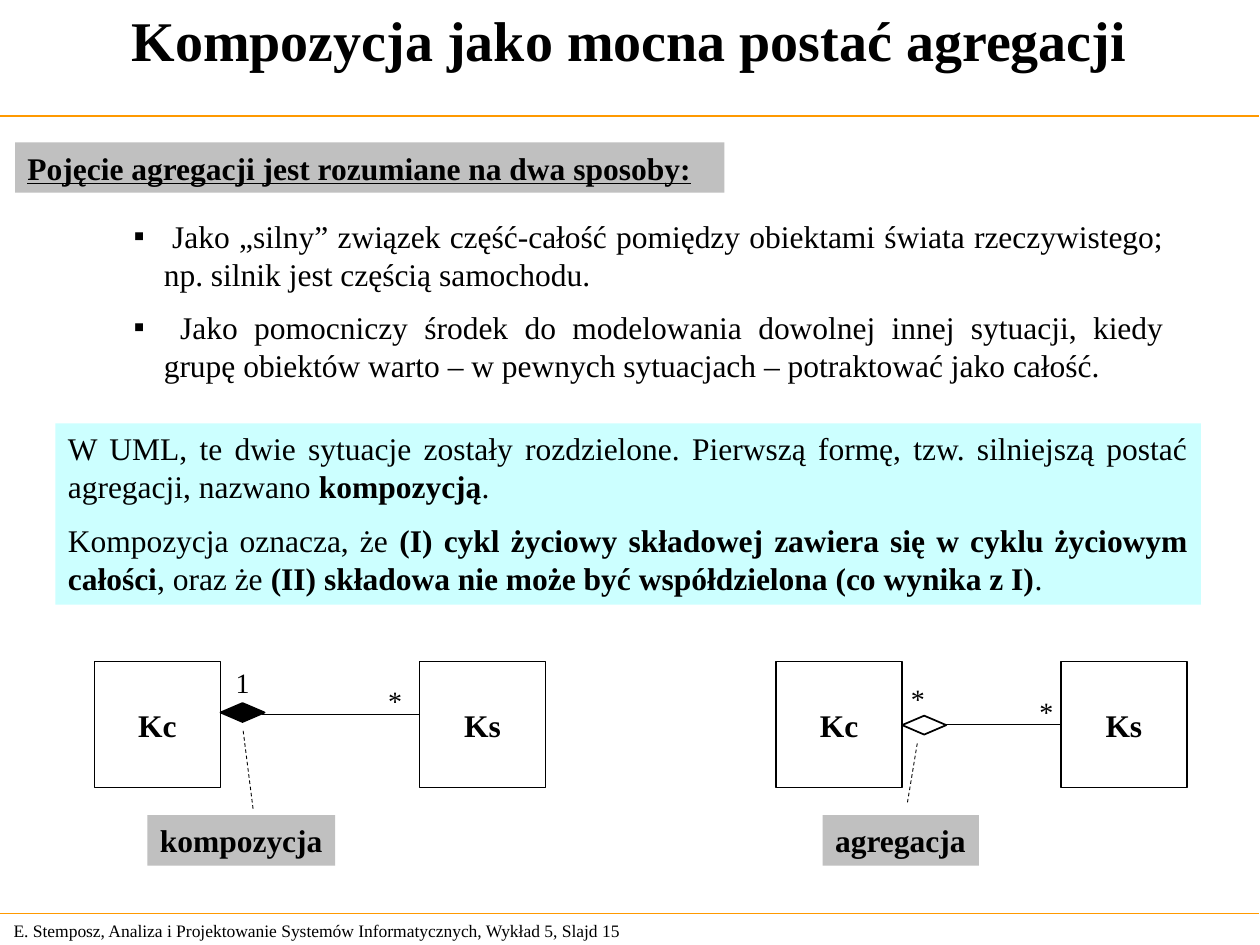
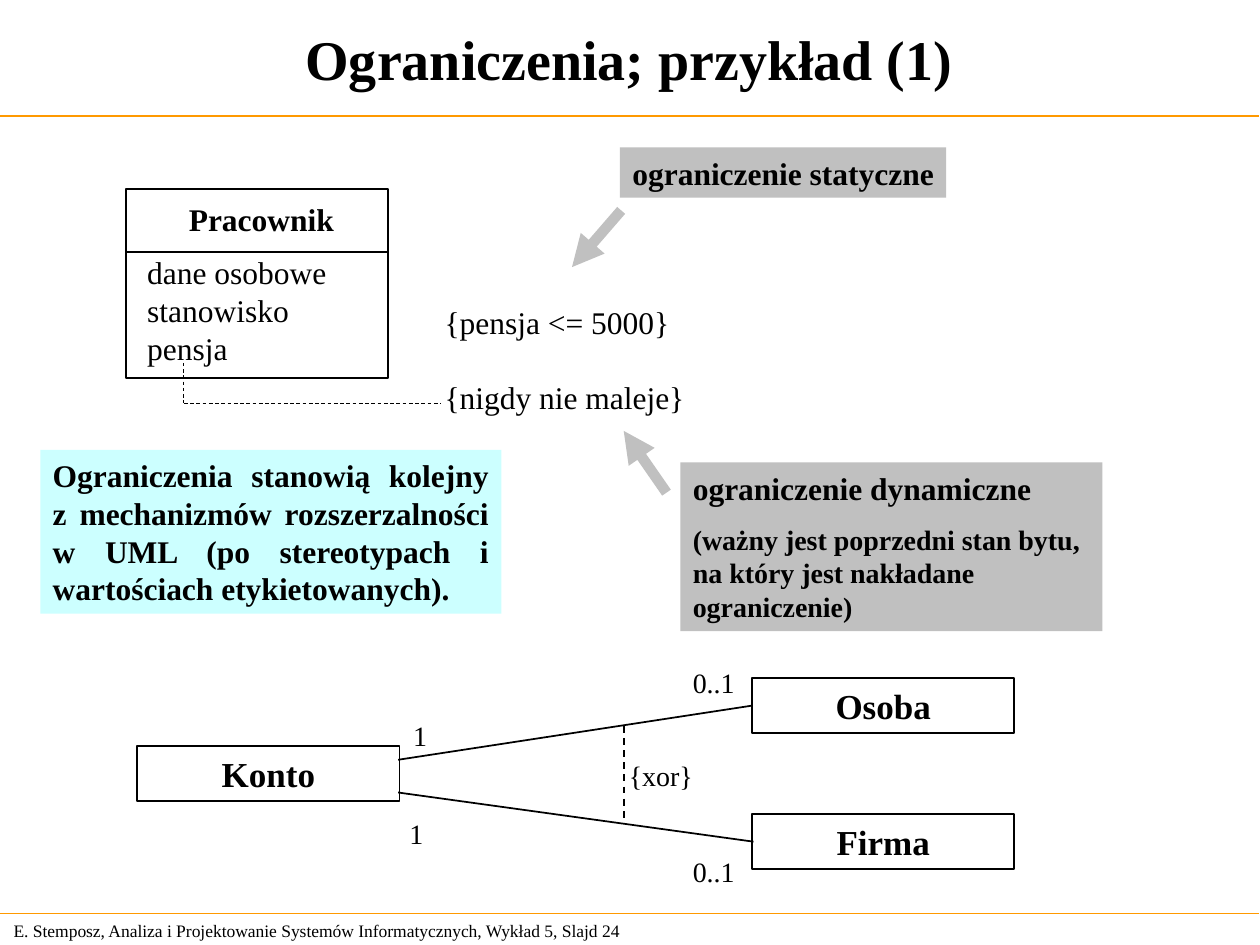
from lxml.etree import SubElement
from pptx import Presentation
from pptx.dml.color import RGBColor
from pptx.enum.dml import MSO_LINE_DASH_STYLE as Dash
from pptx.enum.shapes import MSO_CONNECTOR as Conn, MSO_SHAPE as Geo
from pptx.enum.text import MSO_ANCHOR as Anchor, MSO_AUTO_SIZE as Fit, PP_ALIGN as Align
from pptx.oxml.ns import qn
from pptx.util import Inches, Pt

BLACK = RGBColor(0x00, 0x00, 0x00)
GREY = RGBColor(0xC0, 0xC0, 0xC0)
CYAN = RGBColor(0xCC, 0xFF, 0xFF)
ORANGE = RGBColor(0xFF, 0x99, 0x00)
FONT = "Times New Roman"


def write(shape, paras, size=18, bold=False, align=Align.LEFT,
          anchor=Anchor.TOP, gap=0, wrap=False, bullet=None):
    """Fill a shape; a run is a text or a tuple of text, bold, size and font."""
    frame = shape.text_frame
    frame.auto_size = Fit.NONE
    frame.word_wrap = wrap
    frame.vertical_anchor = anchor
    for i, runs in enumerate(paras):
        para = frame.paragraphs[0] if i == 0 else frame.add_paragraph()
        para.alignment = align
        para.space_before = Pt(gap if i else 0)
        if bullet:
            props = para._p.get_or_add_pPr()
            props.set("marL", str(Inches(0.24)))
            props.set("indent", str(-Inches(0.24)))
            SubElement(props, qn("a:buFont")).set("typeface", FONT)
            SubElement(props, qn("a:buChar")).set("char", bullet)
        for item in [runs] if isinstance(runs, str) else runs:
            part = (item,) if isinstance(item, str) else item
            text, heavy, points, face = part + (bold, size, FONT)[len(part) - 1:]
            run = para.add_run()
            run.text = text
            font = run.font
            font.name, font.size, font.bold = face, Pt(points), heavy
            font.color.rgb = BLACK


def box(slide, at, paras=(), fill=None, edge=False, geo=Geo.RECTANGLE, **style):
    """Add a filled or outlined shape, or a plain text box."""
    place = [Inches(v) for v in at]
    if fill or edge:
        shape = slide.shapes.add_shape(geo, *place)
        shape.shadow.inherit = False
        shape.fill.background()
        shape.line.fill.background()
        if fill:
            shape.fill.solid()
            shape.fill.fore_color.rgb = fill
        if edge:
            shape.line.color.rgb = BLACK
            shape.line.width = Pt(1)
    else:
        shape = slide.shapes.add_textbox(*place)
    write(shape, paras, **style)
    return shape


deck = Presentation()
deck.slide_width, deck.slide_height = Inches(10), Inches(7.5)
bullets = deck.slides.add_slide(deck.slide_layouts[1])
limits = deck.slides.add_slide(deck.slide_layouts[5])

# Shared title style and footer
for slide, name, top, high, anchor, num in [
    (bullets, "Kompozycja jako mocna postać agregacji", -0.01, 0.84, Anchor.TOP, 15),
    (limits, "Ograniczenia; przykład (1)", 0, 0.92, Anchor.MIDDLE, 24),
]:
    title = slide.shapes.title
    title.left, title.top = Inches(0), Inches(top)
    title.width, title.height = Inches(9.99), Inches(high)
    write(title, [name], 32, True, Align.CENTER, anchor, wrap=True)
    foot = ("E. Stemposz, Analiza i Projektowanie Systemów Informatycznych, "
            f"Wykład 5, Slajd {num}")
    box(slide, (0.01, 7.25, 5.24, 0.27), [foot], size=10, anchor=Anchor.MIDDLE)

# Slide 1: heading, list and definition
head = box(bullets, (0.12, 1.13, 5.63, 0.4),
           ["Pojęcie agregacji jest rozumiane na dwa sposoby:"],
           GREY, bold=True, wrap=True)
head.text_frame.paragraphs[0].runs[0].font.underline = True

body = bullets.placeholders[1]
body.left, body.top = Inches(0.96), Inches(1.67)
body.width, body.height = Inches(8.38), Inches(1.44)
write(body, [
    [(" ", False, 18, "Cambria"),
     "Jako „silny” związek część-całość pomiędzy obiektami świata "
     "rzeczywistego; np. silnik jest częścią samochodu."],
    " Jako pomocniczy środek do modelowania dowolnej innej sytuacji, kiedy "
    "grupę obiektów warto – w pewnych sytuacjach – potraktować jako całość.",
], align=Align.JUSTIFY, gap=9, wrap=True, bullet="▪")

box(bullets, (0.44, 3.36, 9.09, 1.44), [
    ["W UML, te dwie sytuacje zostały rozdzielone. Pierwszą formę, tzw. "
     "silniejszą postać agregacji, nazwano ", ("kompozycją", True), "."],
    ["Kompozycja oznacza, że ",
     ("(I) cykl życiowy składowej zawiera się w cyklu życiowym całości", True),
     ", oraz że ",
     ("(II) składowa nie może być współdzielona (co wynika z I)", True), "."],
], CYAN, align=Align.JUSTIFY, gap=9, wrap=True)

# Slide 1: class pairs with their diamonds
for left, right, mark, fill in [(0.75, 3.33, 5.58, BLACK), (6.16, 8.42, 5.68, None)]:
    for x, name in [(left, "Kc"), (right, "Ks")]:
        box(bullets, (x, 5.25, 1, 1), [name], edge=True, bold=True,
            align=Align.CENTER, anchor=Anchor.MIDDLE)
    box(bullets, (left + 1, mark, 0.35, 0.15), fill=fill, edge=True, geo=Geo.DIAMOND)
for x, wide, name in [(1.17, 1.49, "kompozycja"), (6.53, 1.24, "agregacja")]:
    box(bullets, (x, 6.47, wide, 0.4), [name], GREY, bold=True)

# Slide 2: class with attributes and its constraints
box(limits, (1, 1.5, 2.08, 1.5), edge=True)
box(limits, (1.15, 1.54, 1.85, 0.4), ["Pracownik"], bold=True, align=Align.CENTER)
box(limits, (1.07, 1.96, 1.62, 1), ["dane osobowe", "stanowisko", "pensja"])
box(limits, (3.43, 2.36, 2.1, 1), ["{pensja <= 5000}", "{nigdy nie maleje}"], gap=21)

# Slide 2: notes
box(limits, (4.92, 1.17, 2.59, 0.4), ["ograniczenie statyczne"], GREY, bold=True)
box(limits, (5.4, 3.67, 3.35, 1.34), [
    "ograniczenie dynamiczne",
    [("(ważny jest poprzedni stan bytu, na który jest nakładane ograniczenie)", True, 16)],
], GREY, bold=True, gap=9, wrap=True)
box(limits, (0.32, 3.57, 3.66, 1.3),
    ["Ograniczenia stanowią kolejny z mechanizmów rozszerzalności w UML "
     "(po stereotypach i wartościach etykietowanych)."],
    CYAN, bold=True, align=Align.JUSTIFY, wrap=True)

# Slide 2: classes of the xor example
for x, y, name in [(1.09, 5.92, "Konto"), (5.97, 5.38, "Osoba"), (5.97, 6.46, "Firma")]:
    box(limits, (x, y, 2.08, 0.44), [name], edge=True, size=20, bold=True,
        align=Align.CENTER)

# Small labels on the links
for slide, x, y, wide, text in [
    (bullets, 1.77, 5.23, 0.31, "1"),
    (bullets, 2.98, 5.38, 0.31, "*"),
    (bullets, 7.13, 5.36, 0.31, "*"),
    (bullets, 8.15, 5.46, 0.31, "*"),
    (limits, 3.18, 5.65, 0.31, "1"),
    (limits, 3.15, 6.43, 0.31, "1"),
    (limits, 5.4, 5.23, 0.53, "0..1"),
    (limits, 5.4, 6.73, 0.53, "0..1"),
    (limits, 4.89, 5.97, 0.71, "{xor}"),
]:
    box(slide, (x, y, wide, 0.37), [text], size=16, align=Align.CENTER)

# All lines: rules, links, dashed leaders and arrows
RULE, LINK = (ORANGE, 0.75, False, False), (BLACK, 1, False, False)
LEAD, XOR = (BLACK, 0.5, True, False), (BLACK, 1, True, False)
ARROW = (GREY, 6, False, True)
rules = [(slide, -0.01, y, 9.99, y, RULE)
         for slide in (bullets, limits) for y in (0.92, 7.25)]
for slide, x1, y1, x2, y2, look in rules + [
    (bullets, 2.08, 5.67, 3.33, 5.67, LINK),
    (bullets, 7.5, 5.75, 8.42, 5.75, LINK),
    (bullets, 1.93, 5.8, 2.01, 6.43, LEAD),
    (bullets, 7.28, 5.9, 7.2, 6.38, LEAD),
    (limits, 1, 2, 3.08, 2, LINK),
    (limits, 1.46, 2.88, 1.46, 3.2, LEAD),
    (limits, 1.46, 3.2, 3.5, 3.2, LEAD),
    (limits, 3.16, 6.03, 5.97, 5.6, LINK),
    (limits, 3.16, 6.29, 5.98, 6.68, LINK),
    (limits, 4.95, 5.76, 4.95, 6.53, XOR),
    (limits, 4.93, 1.67, 4.54, 2.12, ARROW),
    (limits, 5.29, 3.91, 4.95, 3.42, ARROW),
]:
    color, width, dashed, arrow = look
    ends = [Inches(v) for v in (x1, y1, x2, y2)]
    link = slide.shapes.add_connector(Conn.STRAIGHT, *ends)
    link.line.color.rgb = color
    link.line.width = Pt(width)
    if dashed:
        link.line.dash_style = Dash.DASH
    if arrow:
        SubElement(link.line._get_or_add_ln(), qn("a:tailEnd")).set("type", "triangle")
    SubElement(link._element.spPr, qn("a:effectLst"))

deck.save("out.pptx")
